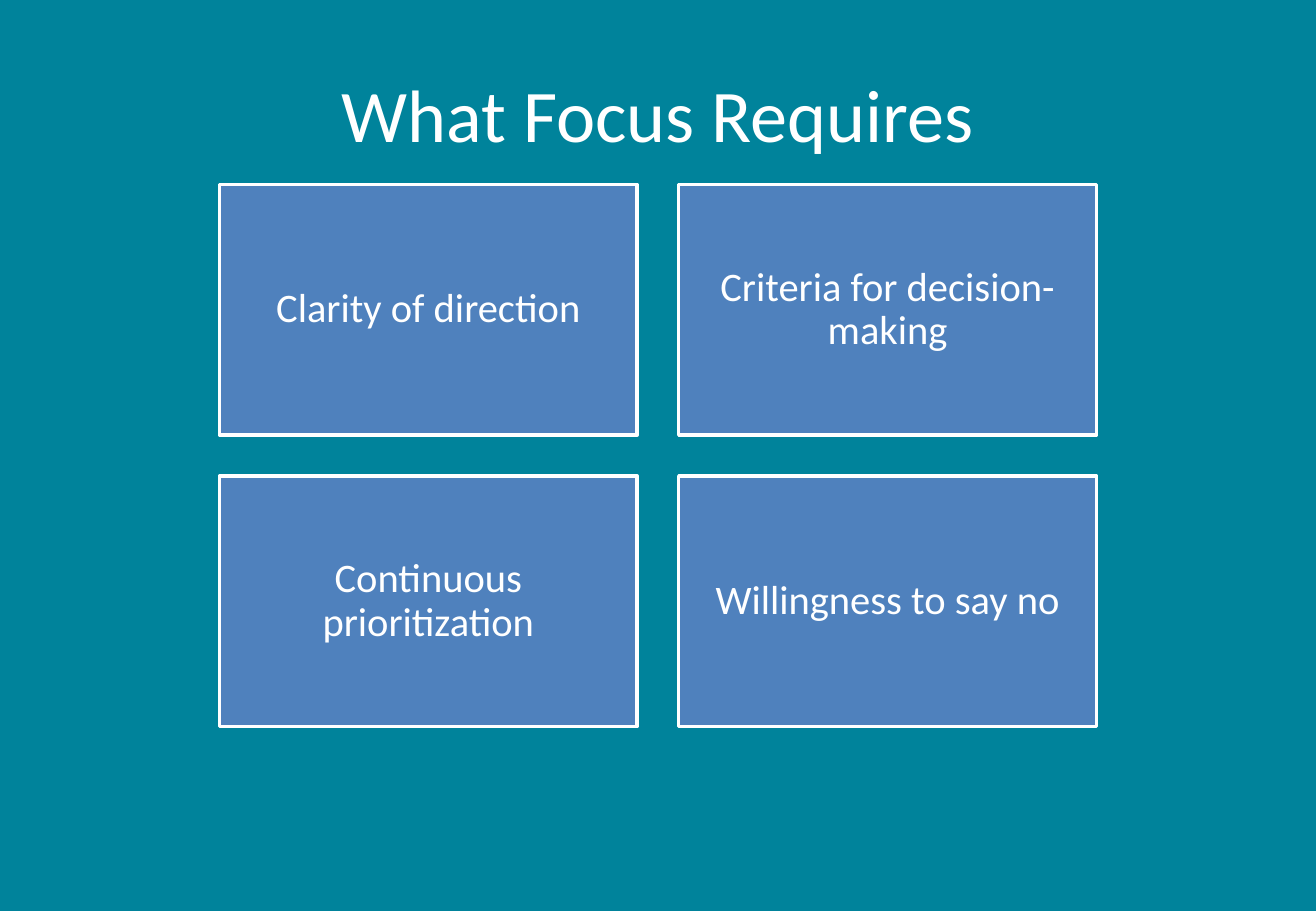
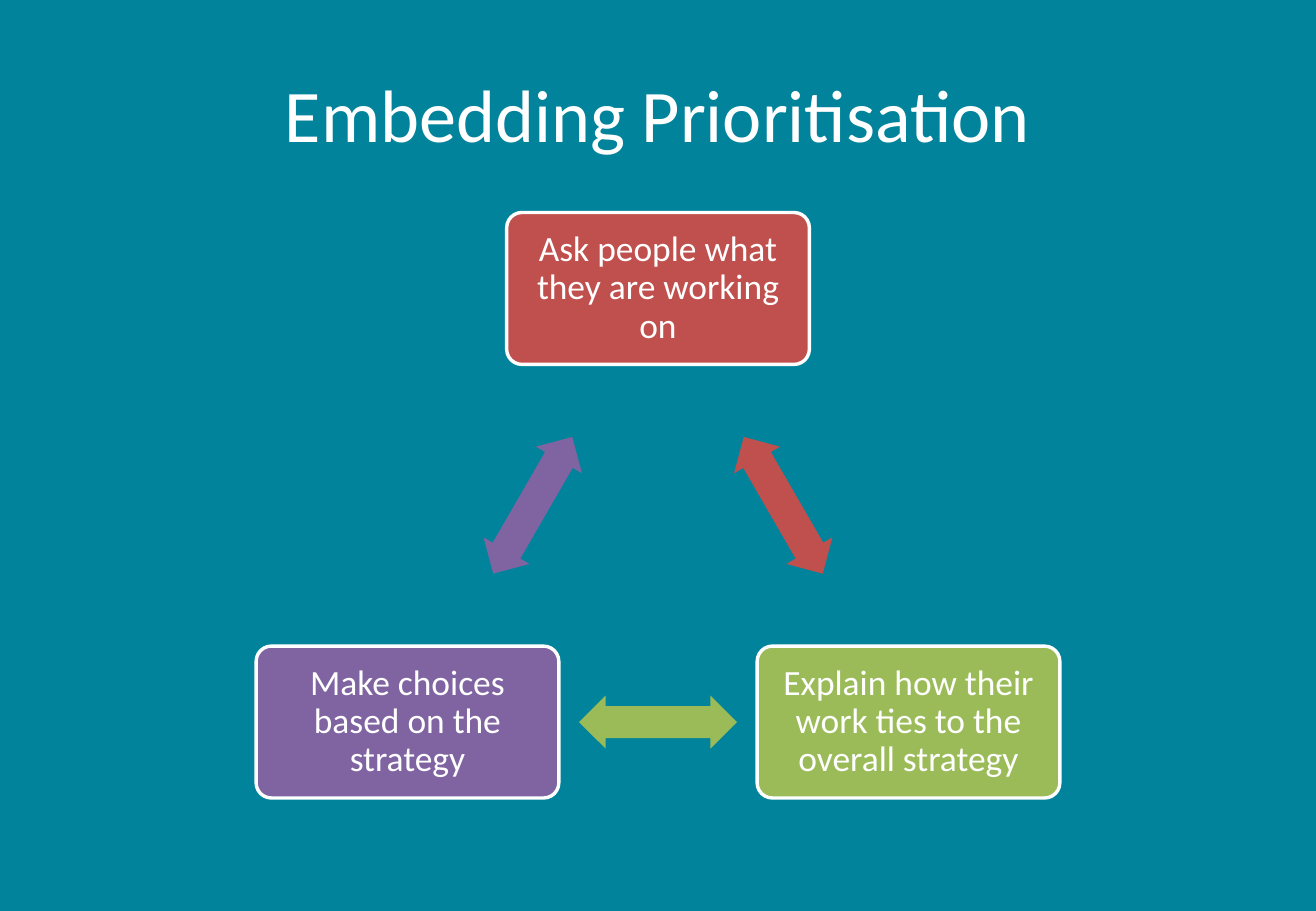
"""Builds two slides on focus: a grid of requirements and a cycle of steps."""
import math

from pptx import Presentation, util as u
from pptx.dml import color
from pptx.enum import shapes, text

COLOURS = {
    "teal": "00839B",
    "white": "FFFFFF",
    "blue": "4F81BD",
    "red": "C0504D",
    "green": "9BBB59",
    "purple": "8064A2",
}
FONT = "Calibri"
TITLE_ONLY = 5


def paint(fill, name):
    """Fill with a named colour."""
    fill.solid()
    fill.fore_color.rgb = color.RGBColor.from_string(COLOURS[name])


class Slides:
    """Shared style and current slide, on a grid of 100 columns by 100 rows."""

    def __init__(self):
        """Start a deck with the shared background."""
        self.deck = Presentation()
        self.deck.slide_width, self.deck.slide_height = u.Inches(10.83), u.Inches(7.5)
        paint(self.deck.slide_master.background.fill, "teal")
        self.page = None

    def place(self, left, top, width, height):
        """Turn columns and rows into slide lengths."""
        column, row = self.deck.slide_width / 100, self.deck.slide_height / 100
        return [round(n) for n in (left * column, top * row, width * column, height * row)]

    def label(self, frame, words, size):
        """Put centred white text in a frame and return its paragraph."""
        frame.text = words
        frame.word_wrap = True
        frame.vertical_anchor = text.MSO_ANCHOR.MIDDLE
        para = frame.paragraphs[0]
        para.alignment = text.PP_ALIGN.CENTER
        font = para.runs[0].font
        font.name, font.size = FONT, u.Pt(size)
        font.color.rgb = color.RGBColor.from_string(COLOURS["white"])
        return para

    def start(self, words):
        """Add a slide with its title."""
        self.page = self.deck.slides.add_slide(self.deck.slide_layouts[TITLE_ONLY])
        title = self.page.shapes.title
        title.left, title.top, title.width, title.height = self.place(5, 4, 90, 16.67)
        self.label(title.text_frame, words, 44)

    def shape(self, kind, centre, size, fill):
        """Add a plain filled shape around a centre."""
        (x, y), (width, height) = centre, size
        area = self.place(x - width / 2, y - height / 2, width, height)
        shape = self.page.shapes.add_shape(kind, *area)
        shape.shadow.inherit = False
        paint(shape.fill, fill)
        shape.line.fill.background()
        return shape

    def box(self, kind, centre, size, fill, words, points, inset):
        """Add a white-edged box with text."""
        box = self.shape(kind, centre, size, fill)
        paint(box.line.fill, "white")
        box.line.width = u.Pt(2)
        frame = box.text_frame
        frame.margin_left = frame.margin_right = u.Inches(inset)
        frame.margin_top = frame.margin_bottom = u.Inches(inset)
        self.label(frame, words, points).line_spacing = 0.9
        return box

    def tile(self, centre, size, words):
        """Add a square-cornered tile."""
        self.box(shapes.MSO_SHAPE.RECTANGLE, centre, size, "blue", words, 24, 0.1)

    def step(self, centre, fill, words):
        """Add a rounded step of the cycle."""
        box = self.box(shapes.MSO_SHAPE.ROUNDED_RECTANGLE, centre, (23, 16.67),
                       fill, words, 21, 0.09)
        box.adjustments[0] = 0.1

    def arrow(self, centre, turn, fill):
        """Add a two-way arrow turned by some degrees."""
        arrow = self.shape(shapes.MSO_SHAPE.LEFT_RIGHT_ARROW, centre, (12, 5.83), fill)
        arrow.adjustments[0], arrow.adjustments[1] = 0.6, 0.5
        arrow.rotation = turn

    def orbit(self, angle, share=1):
        """Return the point at a clockwise angle from the top of the cycle."""
        turn = math.radians(angle)
        return 50 + 21.98 * share * math.sin(turn), 63.4 - 31.73 * share * math.cos(turn)


def requirements(slides):
    """Draw the two-by-two grid of tiles."""
    slides.start("What Focus Requires")
    width, height, gap_x, gap_y, top = 31.75, 27.5, 3.15, 4.5, 20.25
    tiles = ["Clarity of direction", "Criteria for decision-making",
             "Continuous prioritization", "Willingness to say no"]
    for i, words in enumerate(tiles):
        row, column = divmod(i, 2)
        x = 50 + (column - 0.5) * (width + gap_x)
        y = top + height / 2 + row * (height + gap_y)
        slides.tile((x, y), (width, height), words)


def cycle(slides):
    """Draw three steps with an arrow halfway to the next."""
    slides.start("Embedding Prioritisation")
    steps = [("red", "Ask people what they are working on"),
             ("green", "Explain how their work ties to the overall strategy"),
             ("purple", "Make choices based on the strategy")]
    for i, (fill, words) in enumerate(steps):
        angle = i * 120
        slides.step(slides.orbit(angle), fill, words)
        slides.arrow(slides.orbit(angle + 60, 0.5), angle + 60, fill)


def main():
    """Build and save the deck."""
    slides = Slides()
    requirements(slides)
    cycle(slides)
    slides.deck.save("out.pptx")


if __name__ == "__main__":
    main()
